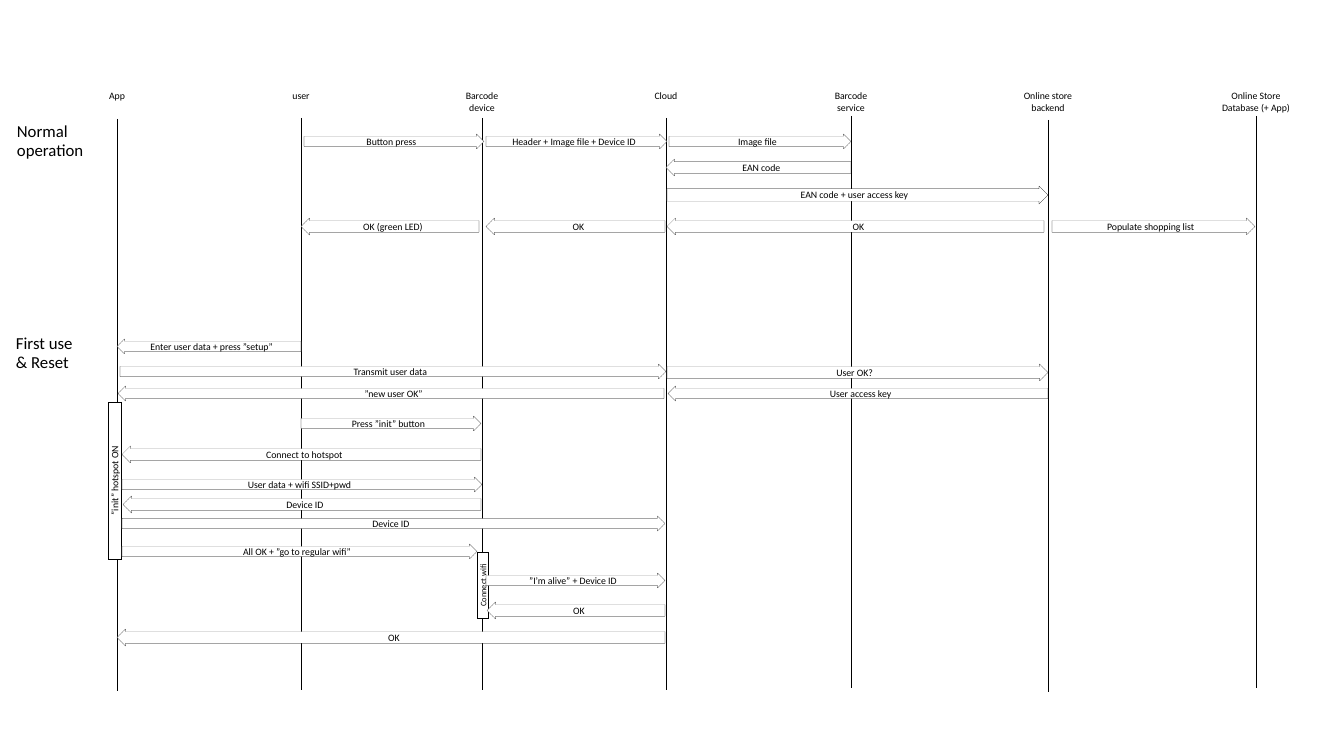
import dataclasses
import typing

import lxml.etree
import pptx
import pptx.dml.color
import pptx.enum.dml
import pptx.enum.shapes
import pptx.enum.text
import pptx.oxml.ns
import pptx.util

SCALE = 914400 / 100.8
SHAPE = pptx.enum.shapes.MSO_SHAPE
ALIGN = pptx.enum.text.PP_ALIGN
MIDDLE = pptx.enum.text.MSO_ANCHOR.MIDDLE


@dataclasses.dataclass(frozen=True)
class Theme:
    """Colours, font, type sizes and line widths of the diagram."""
    ink: pptx.dml.color.RGBColor = pptx.dml.color.RGBColor(0, 0, 0)
    paper: pptx.dml.color.RGBColor = pptx.dml.color.RGBColor(255, 255, 255)
    font: str = "Calibri"
    heading: int = 12
    label: int = 7
    small: int = 6
    lifeline: float = 0.5
    outline: float = 0.1


class Lane(typing.NamedTuple):
    """A participant: lifeline position and label."""
    x: int
    top: int
    label: str
    width: int


class Message(typing.NamedTuple):
    """An arrow that points from start to end."""
    start: int
    end: int
    top: int
    height: int
    text: str


class Bar(typing.NamedTuple):
    """An activation bar, boxed as it lies before it is turned upright."""
    left: int
    top: int
    length: int
    thickness: int
    text: str
    size: int


class Heading(typing.NamedTuple):
    """The name of a phase, in the left margin."""
    left: int
    top: int
    text: str


THEME = Theme()
LIFELINE_LENGTH = 572
LABEL_TOP, LINE_HEIGHT, LABEL_PADDING = 85, 12, 10

HEADINGS = [Heading(7, 127, "Normal operation"), Heading(6, 339, "First use & Reset")]

LANES = [
    Lane(117, 119, "App", 36),
    Lane(301, 118, "user", 38),
    Lane(482, 118, "Barcode\vdevice", 53),
    Lane(666, 118, "Cloud", 43),
    Lane(851, 116, "Barcode\vservice", 53),
    Lane(1048, 120, "Online store\nbackend", 70),
    Lane(1256, 116, "Online Store\nDatabase (+ App)", 90),
]

BARS = [
    Bar(36, 474, 157, 13, "”init” hotspot ON", THEME.label),
    Bar(450, 580, 66, 11, "Connect wifi", THEME.small),
]

MESSAGES = [
    Message(304, 484, 134, 15, "Button press"),
    Message(486, 667, 134, 15, "Header + Image file + Device ID"),
    Message(669, 851, 134, 15, "Image file"),
    Message(851, 666, 159, 17, "EAN code"),
    Message(667, 1048, 186, 18, "EAN code + user access key"),
    Message(1044, 667, 218, 17, "OK"),
    Message(1052, 1255, 218, 17, "Populate shopping list"),
    Message(665, 486, 218, 17, "OK"),
    Message(479, 301, 218, 17, "OK (green LED)"),
    Message(301, 117, 339, 15, "Enter user data + press ”setup”"),
    Message(120, 666, 364, 15, "Transmit user data"),
    Message(667, 1048, 364, 17, "User OK?"),
    Message(1048, 668, 386, 15, "User access key"),
    Message(664, 118, 386, 15, "”new user OK”"),
    Message(301, 481, 416, 15, "Press ”init” button"),
    Message(481, 122, 446, 17, "Connect to hotspot"),
    Message(122, 482, 477, 15, "User data + wifi SSID+pwd"),
    Message(481, 123, 496, 17, "Device ID"),
    Message(122, 665, 516, 15, "Device ID"),
    Message(122, 477, 544, 15, "All OK + ”go to regular wifi”"),
    Message(486, 665, 573, 15, "”I’m alive” + Device ID"),
    Message(665, 487, 602, 17, "OK"),
    Message(665, 117, 629, 17, "OK"),
]


def emu(*pixels: float) -> list[int]:
    """Turn pixels into EMU."""
    return [round(px * SCALE) for px in pixels]


def apply(target: object, values: dict[str, object]) -> None:
    """Set every attribute named in values."""
    for name, value in values.items():
        setattr(target, name, value)


def write(s, text: str, size: int, frame: dict, paragraph: dict) -> None:
    """Fill a shape with formatted text."""
    tf = s.text_frame
    tf.text = text
    apply(tf, frame)
    for p in tf.paragraphs:
        apply(p, paragraph)
        for r in p.runs:
            apply(r.font, {"name": THEME.font, "size": pptx.util.Pt(size)})
            r.font.color.rgb = THEME.ink


def add_box(sp, kind, box: tuple[int, int, int, int], text: str, size: int):
    """Add a white, dotted shape with centred text."""
    s = sp.add_shape(kind, *emu(*box))
    s.shadow.inherit = False
    s.fill.solid()
    s.fill.fore_color.rgb = THEME.paper
    s.line.color.rgb = THEME.ink
    apply(s.line, {"width": pptx.util.Pt(THEME.outline),
                   "dash_style": pptx.enum.dml.MSO_LINE.ROUND_DOT})
    margins = dict.fromkeys(
        ("margin_left", "margin_right", "margin_top", "margin_bottom"), 0)
    write(s, text, size, {"vertical_anchor": MIDDLE, **margins},
          {"alignment": ALIGN.CENTER})
    return s


def add_heading(sp, heading: Heading) -> None:
    """Add a phase heading."""
    s = sp.add_textbox(*emu(heading.left, heading.top, 91, 29))
    write(s, heading.text, THEME.heading,
          {"word_wrap": True, "vertical_anchor": MIDDLE}, {"line_spacing": 0.9})


def add_lane(sp, lane: Lane) -> None:
    """Add a lifeline with its label centred above it."""
    line = sp.add_connector(
        pptx.enum.shapes.MSO_CONNECTOR.STRAIGHT,
        *emu(lane.x, lane.top, lane.x, lane.top + LIFELINE_LENGTH))
    line.line.color.rgb = THEME.ink
    line.line.width = pptx.util.Pt(THEME.lifeline)
    lxml.etree.SubElement(line._element.spPr, pptx.oxml.ns.qn("a:effectLst"))
    height = LABEL_PADDING + LINE_HEIGHT * len(lane.label.splitlines())
    s = sp.add_textbox(*emu(lane.x - lane.width / 2, LABEL_TOP, lane.width, height))
    write(s, lane.label, THEME.label,
          {"word_wrap": False,
           "auto_size": pptx.enum.text.MSO_AUTO_SIZE.SHAPE_TO_FIT_TEXT},
          {"alignment": ALIGN.CENTER})


def add_bar(sp, bar: Bar) -> None:
    """Add an upright activation bar that reads upwards."""
    s = add_box(sp, SHAPE.RECTANGLE, bar[:4], bar.text, bar.size)
    s.rotation = 270


def add_message(sp, message: Message) -> None:
    """Add a block arrow that carries its message."""
    kind = SHAPE.RIGHT_ARROW if message.end > message.start else SHAPE.LEFT_ARROW
    box = (min(message.start, message.end), message.top,
           abs(message.end - message.start), message.height)
    s = add_box(sp, kind, box, message.text, THEME.label)
    s.adjustments[0], s.adjustments[1] = 0.68, 0.5


def main() -> None:
    """Build the sequence diagram."""
    prs = pptx.Presentation()
    prs.slide_width, prs.slide_height = emu(1344, 756)
    sp = prs.slides.add_slide(prs.slide_layouts[6]).shapes
    for draw, items in ((add_heading, HEADINGS), (add_lane, LANES),
                        (add_bar, BARS), (add_message, MESSAGES)):
        for item in items:
            draw(sp, item)
    prs.save("out.pptx")


main()
